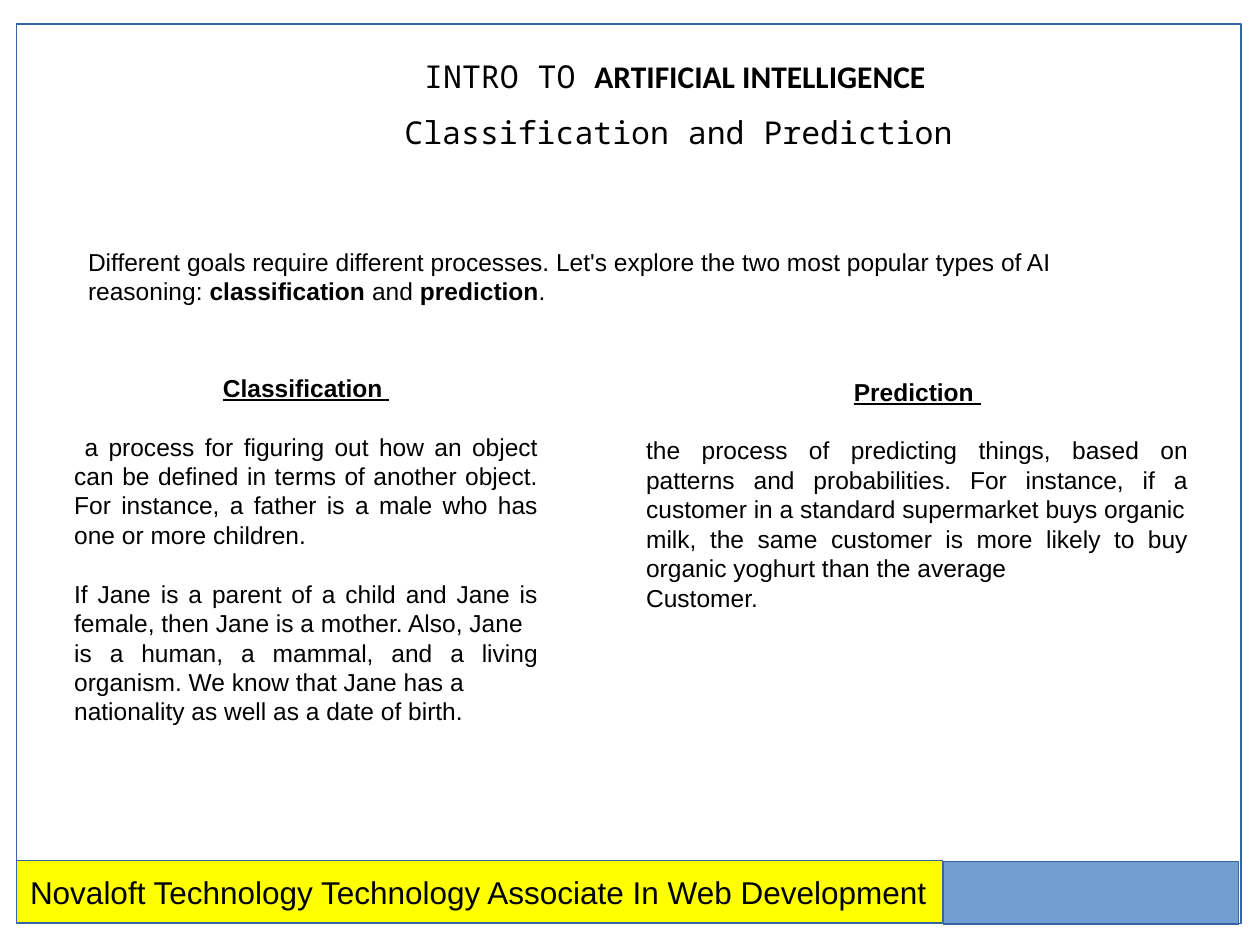
from dataclasses import dataclass, field

from pptx import Presentation
from pptx.dml.color import RGBColor
from pptx.enum.shapes import MSO_SHAPE
from pptx.enum.text import MSO_AUTO_SIZE, PP_ALIGN as AL
from pptx.util import Inches, Pt

MONO = {"name": "Noto Sans Mono", "size": Pt(18)}
CALIBRI = {"name": "Calibri", "size": Pt(18), "bold": True}
FOOTER = {"name": "Arial", "size": Pt(18)}
BODY = {"name": "Arial", "size": Pt(14)}
BOLD = {**BODY, "bold": True}
HEADING = {**BOLD, "underline": True}
CENTER = {"alignment": AL.CENTER}
TITLE = {**CENTER, "line_spacing": 1.5}
JUSTIFY = {"alignment": AL.JUSTIFY}
GAP = {"space_after": Pt(16.8)}


@dataclass
class Panel:
    box: tuple[float, float, float, float]
    fill: str | None = None


@dataclass
class Para:
    runs: list[tuple[str, dict]]
    fmt: dict = field(default_factory=dict)


@dataclass
class Block:
    box: tuple[float, float, float, float]
    paras: list[Para]
    auto_size: MSO_AUTO_SIZE = MSO_AUTO_SIZE.NONE


def rgb(value: str) -> RGBColor:
    return RGBColor.from_string(value)


def apply(target, values: dict) -> None:
    for key, value in values.items():
        setattr(target, key, value)


def body(text: str, **fmt) -> Para:
    return Para([(text, BODY)], {**JUSTIFY, **fmt})


def draw_panel(s, panel: Panel) -> None:
    sp = s.shapes.add_shape(MSO_SHAPE.RECTANGLE, *map(Inches, panel.box))
    sp.shadow.inherit = False
    if panel.fill:
        sp.fill.solid()
        sp.fill.fore_color.rgb = rgb(panel.fill)
    else:
        sp.fill.background()
    sp.line.color.rgb = rgb("3465A4")
    sp.line.width = Pt(0.75)


def draw_block(s, block: Block) -> None:
    tf = s.shapes.add_textbox(*map(Inches, block.box)).text_frame
    apply(tf, {"word_wrap": True, "auto_size": block.auto_size})
    for i, para in enumerate(block.paras):
        p = tf.add_paragraph() if i else tf.paragraphs[0]
        apply(p, para.fmt)
        for text, font in para.runs:
            r = p.add_run()
            r.text = text
            apply(r.font, font)
            r.font.color.rgb = rgb("000000")


ITEMS = [
    Block((2.26, 0.25, 6.25, 1), [
        Para([("INTRO TO ", MONO), ("ARTIFICIAL INTELLIGENCE ", CALIBRI)], TITLE),
        Para([("Classification and Prediction", MONO)], TITLE),
    ], MSO_AUTO_SIZE.SHAPE_TO_FIT_TEXT),
    Panel((0.13, 6.83, 7.35, 0.49), "FFFF00"),
    Panel((7.49, 6.84, 2.34, 0.5), "729FCF"),
    Block((0.14, 6.88, 7.8, 0.66), [
        Para([("Novaloft Technology Technology Associate In Web Development", FOOTER)]),
    ]),
    Panel((0.13, 0.19, 9.72, 7.14)),
    Block((0.49, 2.91, 3.88, 2.94), [
        Para([("Classification", HEADING), (" ", {**HEADING, "bold": False})], {**CENTER, **GAP}),
        body(" a process for figuring out how an object can be defined in terms of "
             "another object. For instance, a father is a male who has one or more children.", **GAP),
        body("If Jane is a parent of a child and Jane is female, then Jane is a mother. Also, Jane"),
        body("is a human, a mammal, and a living organism. We know that Jane has a"),
        body("nationality as well as a date of birth."),
    ]),
    Block((0.6, 1.91, 8.75, 0.66), [
        Para([
            ("Different goals require different processes. Let's explore the two most "
             "popular types of AI reasoning: ", BODY),
            ("classification", BOLD), (" and ", BODY), ("prediction", BOLD), (".", BODY),
        ]),
    ]),
    Block((5.03, 2.94, 4.5, 2.28), [
        Para([("Prediction ", HEADING)], {**CENTER, **GAP}),
        body("the process of predicting things, based on patterns and probabilities. "
             "For instance, if a customer in a standard supermarket buys organic"),
        body("milk, the same customer is more likely to buy organic yoghurt than the average"),
        body("Customer."),
    ]),
]


def main() -> None:
    """Build the slide on classification and prediction."""
    prs = Presentation()
    prs.slide_width, prs.slide_height = Inches(10), Inches(7.5)
    s = prs.slides.add_slide(prs.slide_layouts[6])
    for item in ITEMS:
        draw = draw_panel if isinstance(item, Panel) else draw_block
        draw(s, item)
    prs.save("out.pptx")


if __name__ == "__main__":
    main()
